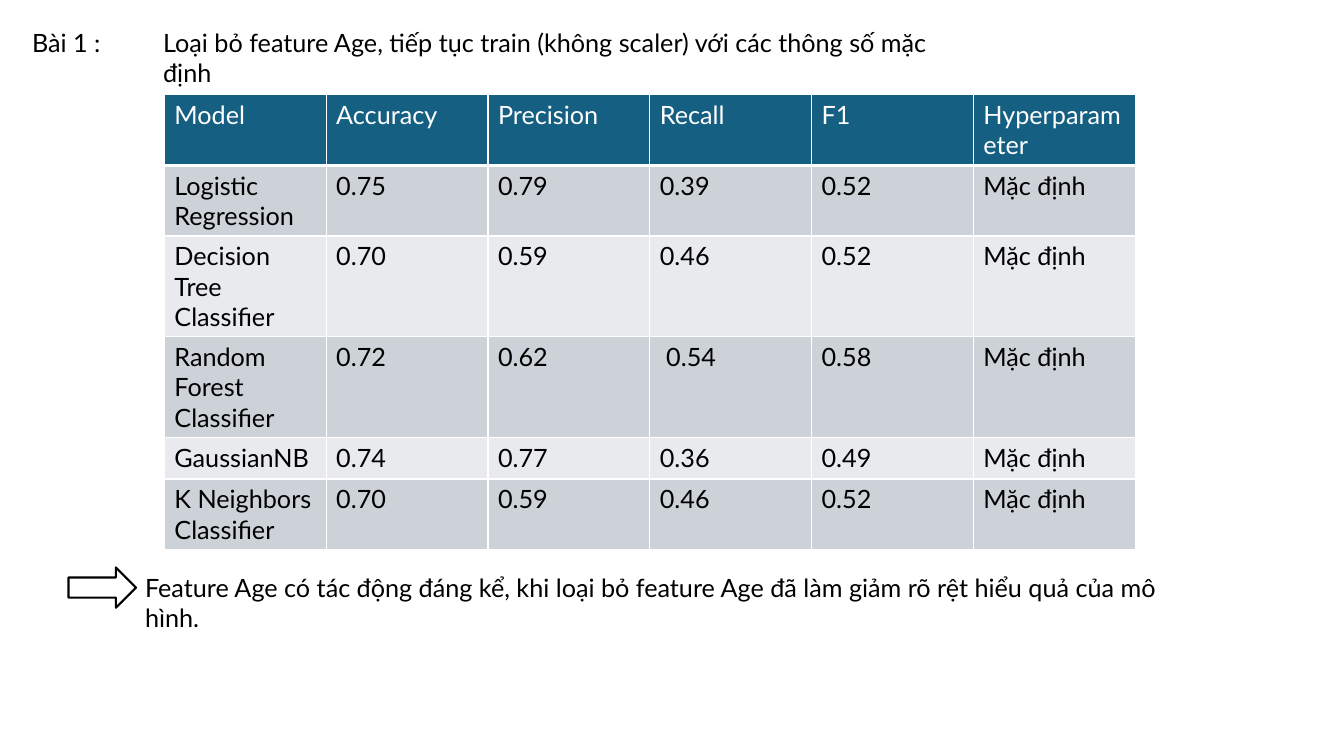
from lxml import etree
from pptx import Presentation, util as u
from pptx.dml.color import RGBColor
from pptx.enum import shapes, text
from pptx.oxml.ns import qn

COLORS = {"ink": "000000", "paper": "FFFFFF", "header": "156082",
          "odd": "CCD2D8", "even": "E8EAED"}
FONT = "Lato"

HEADERS = ["Model", "Accuracy", "Precision", "Recall", "F1", "Hyperparameter"]
SCORES = [
    ["Logistic Regression", "0.75", "0.79", "0.39", "0.52"],
    ["Decision Tree Classifier", "0.70", "0.59", "0.46", "0.52"],
    ["Random Forest Classifier", "0.72", "0.62", " 0.54", "0.58"],
    ["GaussianNB", "0.74", "0.77", "0.36", "0.49"],
    ["K Neighbors Classifier", "0.70", "0.59", "0.46", "0.52"],
]
ROW_HEIGHTS = [0.7, 0.7, 1, 1, 0.41, 0.7]


def rgb(name):
    return RGBColor.from_string(COLORS[name])


def write(frame, words, color="ink"):
    frame.text = words
    for run in frame.paragraphs[0].runs:
        run.font.name = FONT
        run.font.size = u.Pt(18)
        run.font.color.rgb = rgb(color)


def add_label(slide, words, left, top, width):
    label = slide.shapes.add_textbox(u.Inches(left), u.Inches(top),
                                     u.Inches(width), u.Inches(0.4))
    label.text_frame.word_wrap = True
    label.text_frame.auto_size = text.MSO_AUTO_SIZE.SHAPE_TO_FIT_TEXT
    write(label.text_frame, words)


def add_border(cell, side, points):
    line = etree.SubElement(cell._tc.get_or_add_tcPr(), qn(f"a:ln{side}"),
                            w=str(u.Pt(points)))
    fill = etree.SubElement(line, qn("a:solidFill"))
    etree.SubElement(fill, qn("a:srgbClr"), val=COLORS["paper"])


def style_cell(cell, row):
    # Borders come before the fill in the cell properties
    for side in "LRTB":
        if side != "T" or row == 0:
            add_border(cell, side, 3 if side == "B" and row == 0 else 1)
    cell.fill.solid()
    cell.fill.fore_color.rgb = rgb("header" if row == 0 else "odd" if row % 2 else "even")


def add_score_table(slide, left, top, width):
    rows = [HEADERS] + [scores + ["Mặc định"] for scores in SCORES]
    table = slide.shapes.add_table(
        len(rows), len(HEADERS), u.Inches(left), u.Inches(top),
        u.Inches(width), u.Inches(sum(ROW_HEIGHTS))).table
    for column in table.columns:
        column.width = u.Inches(width / len(HEADERS))
    for r, values in enumerate(rows):
        table.rows[r].height = u.Inches(ROW_HEIGHTS[r])
        for c, value in enumerate(values):
            cell = table.cell(r, c)
            style_cell(cell, r)
            write(cell.text_frame, value, "ink" if r else "paper")


def add_arrow(slide, left, top, width, height):
    arrow = slide.shapes.add_shape(
        shapes.MSO_SHAPE.RIGHT_ARROW, u.Inches(left), u.Inches(top),
        u.Inches(width), u.Inches(height))
    arrow.shadow.inherit = False
    arrow.fill.solid()
    arrow.fill.fore_color.rgb = rgb("paper")
    arrow.line.color.rgb = rgb("ink")
    arrow.line.width = u.Pt(1.5)


def main():
    deck = Presentation()
    deck.slide_width, deck.slide_height = u.Inches(13.33), u.Inches(7.5)
    slide = deck.slides.add_slide(deck.slide_layouts[6])

    # Results
    add_score_table(slide, 1.63, 0.94, 9.63)

    # Conclusion
    add_label(slide, "Feature Age có tác động đáng kể, khi loại bỏ feature Age "
              "đã làm giảm rõ rệt hiểu quả của mô hình.", 1.34, 5.63, 10.59)
    add_arrow(slide, 0.68, 5.63, 0.67, 0.4)

    # Heading
    add_label(slide, "Bài 1 :", 0.22, 0.22, 0.91)
    add_label(slide, "Loại bỏ feature Age, tiếp tục train (không scaler) "
              "với các thông số mặc định", 1.52, 0.22, 8.13)

    deck.save("out.pptx")


if __name__ == "__main__":
    main()
